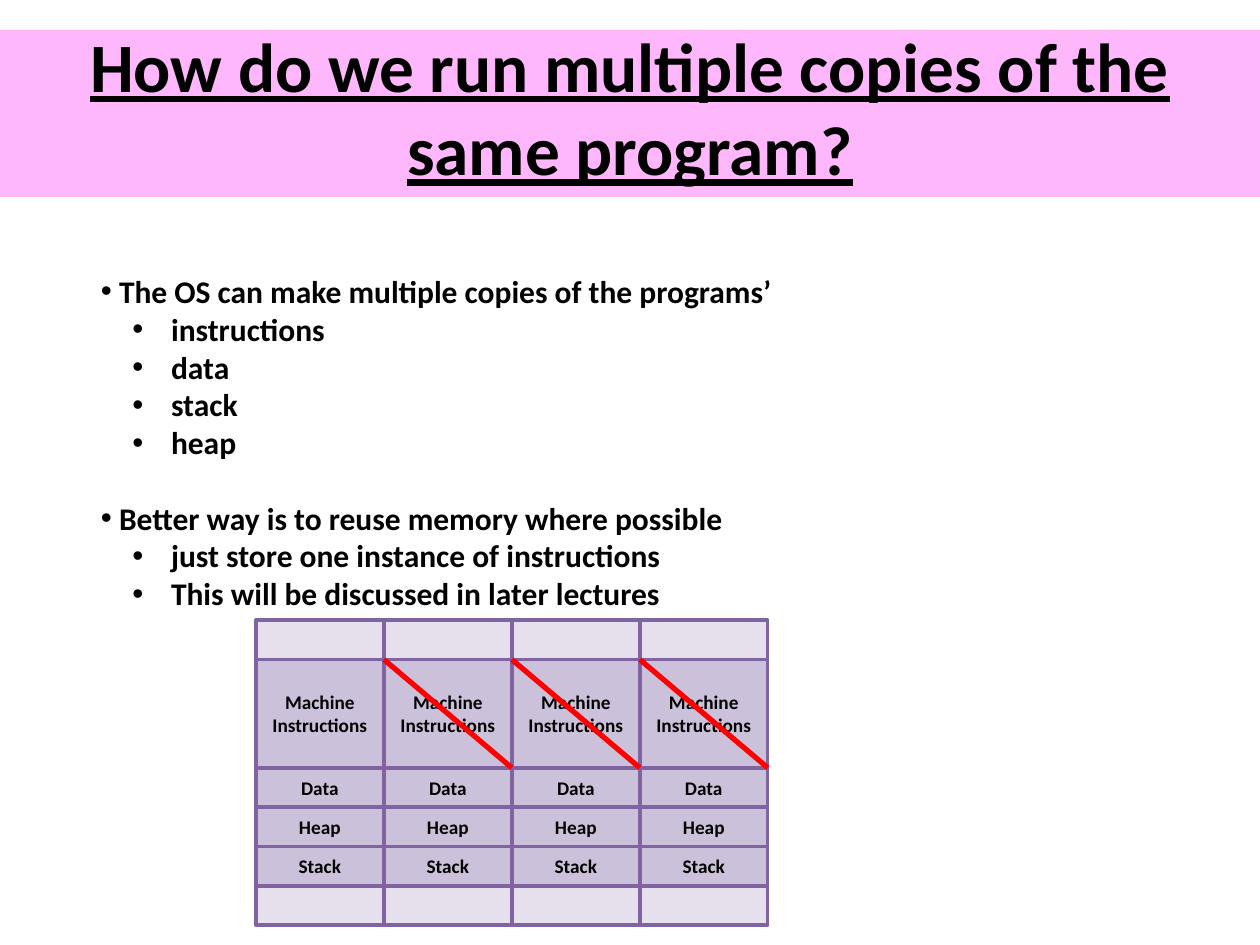
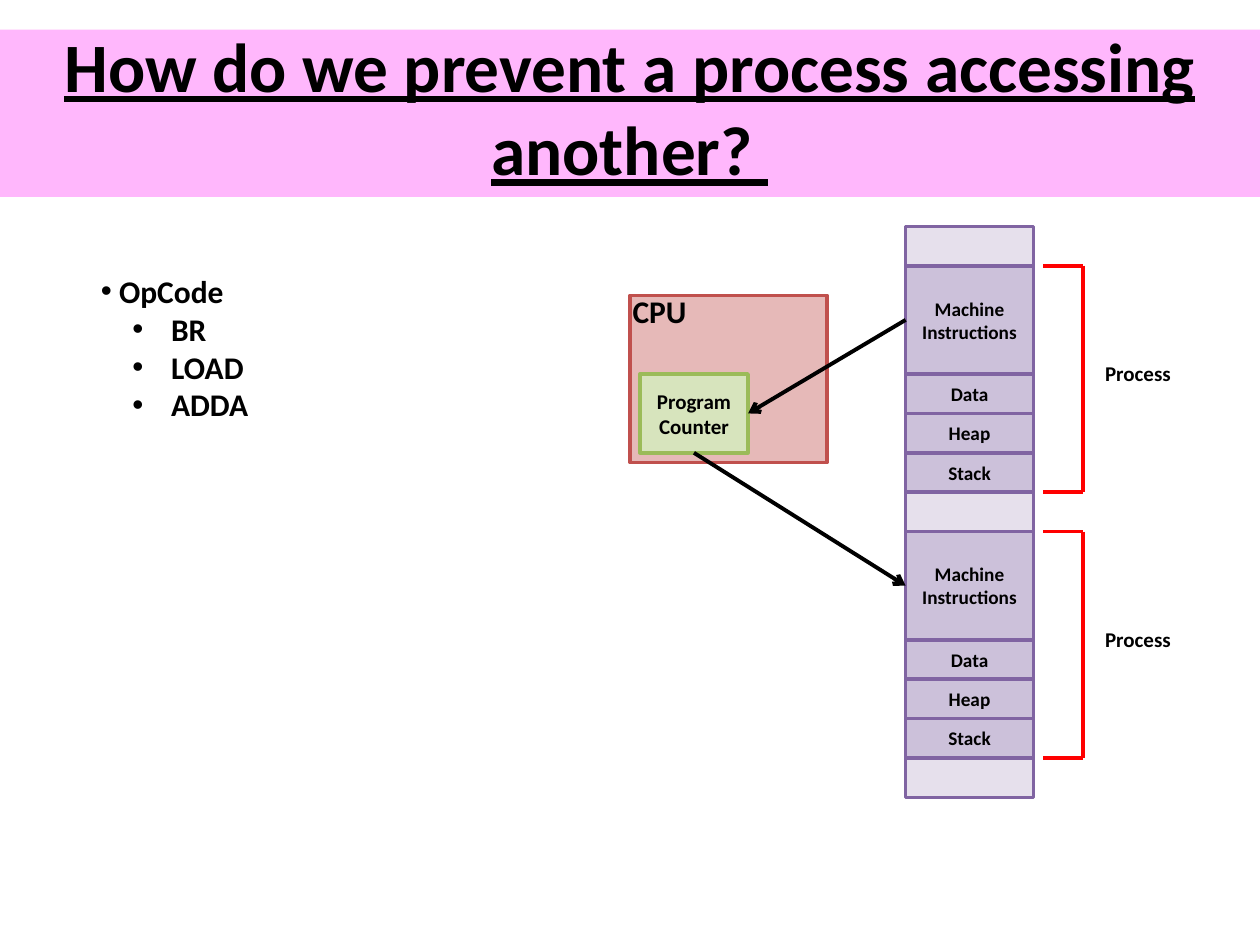
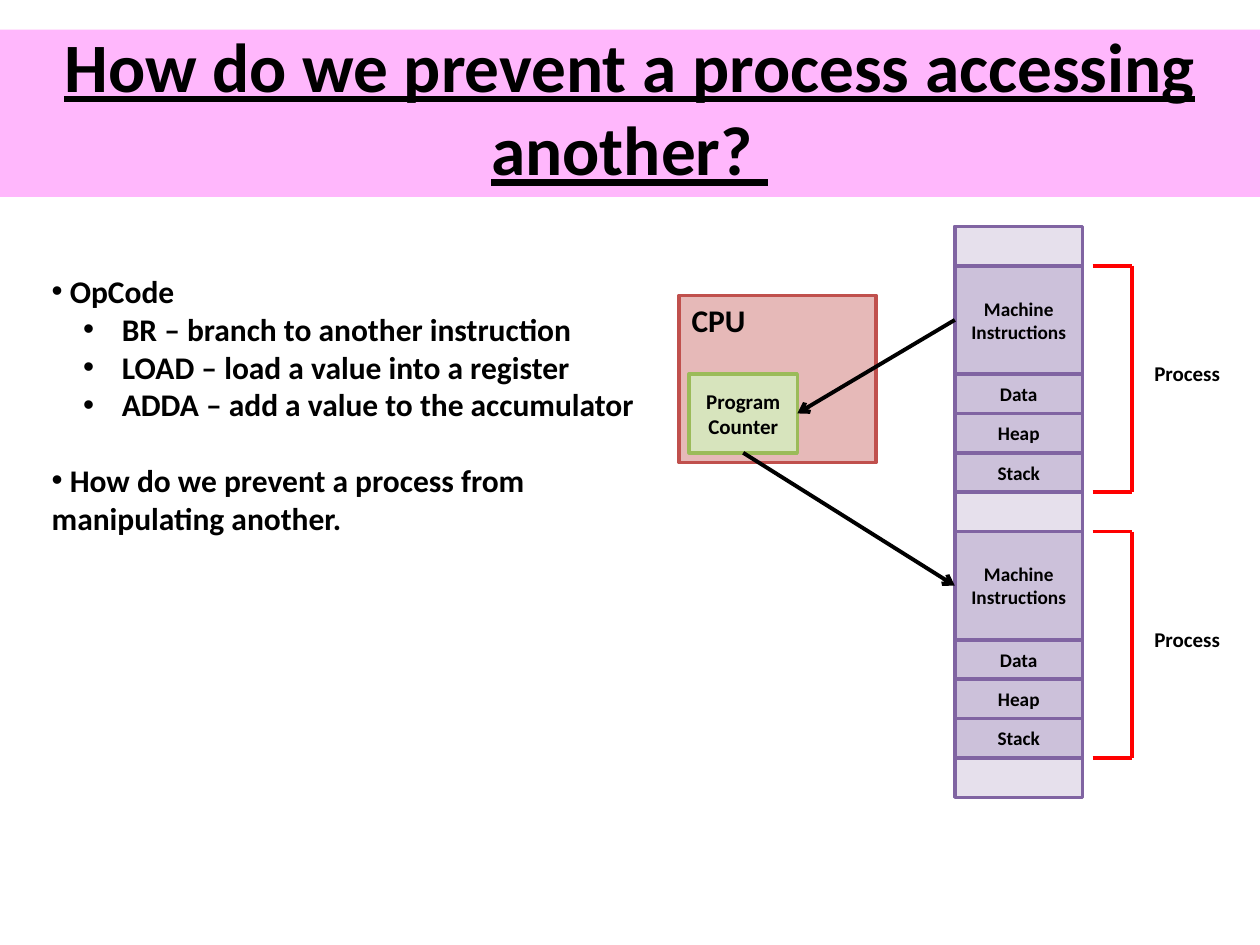
from lxml.etree import SubElement
from pptx import Presentation
from pptx.dml.color import RGBColor
from pptx.enum.shapes import MSO_CONNECTOR, MSO_SHAPE
from pptx.enum.text import MSO_ANCHOR, MSO_AUTO_SIZE, PP_ALIGN
from pptx.oxml.ns import qn
from pptx.util import Inches, Pt

FONT = "Calibri"
BLACK = RGBColor(0x00, 0x00, 0x00)
RED = RGBColor(0xFF, 0x00, 0x00)
PINK = RGBColor(0xFF, 0xB7, 0xFC)
PURPLE = RGBColor(0x80, 0x64, 0xA2)
LILAC = RGBColor(0xCC, 0xC1, 0xDA)
PALE_LILAC = RGBColor(0xE6, 0xE0, 0xEC)
BRICK = RGBColor(0xC0, 0x50, 0x4D)
ROSE = RGBColor(0xE6, 0xB9, 0xB8)
GREEN = RGBColor(0x9B, 0xBB, 0x59)
PALE_GREEN = RGBColor(0xD7, 0xE4, 0xBD)

# All positions are in grid units: the slide is 128 units wide.
GRID = 128
CELL_W, CELL_H, CODE_H = 13, 4, 11

FREE = ("", CELL_H)
PROCESS = [("Machine Instructions", CODE_H), ("Data", CELL_H),
           ("Heap", CELL_H), ("Stack", CELL_H)]
PROCESS_H = sum(h for _, h in PROCESS)

COPIES_TITLE = "How do we run multiple copies of the same program?"
COPIES_POINTS = [
    ("The OS can make multiple copies of the programs’",
     ["instructions", "data", "stack", "heap"]),
    ("Better way is to reuse memory where possible",
     ["just store one instance of instructions",
      "This will be discussed in later lectures"]),
]
COPIES = 4

ACCESS_TITLE = "How do we prevent a process accessing another? "
# Each slide: points, their box, diagram shift, CPU label offset from its box
ACCESS_SLIDES = [
    ([("OpCode", ["BR", "LOAD", "ADDA"])], (9, 27, 52, 28.4), 0, -1),
    ([("OpCode", ["BR – branch to another instruction",
                  "LOAD – load a value into a register",
                  "ADDA – add a value to the accumulator"]),
      ("How do we prevent a process from manipulating another.", [])],
     (4, 27, 64, 40), 5, 0),
]


def units(*values):
    """Turn grid units into lengths."""
    return [Inches(v * 10 / GRID) for v in values]


def write(p, text, size, bold=True, underline=None, align=None):
    """Add one formatted run to a paragraph."""
    p.alignment = align
    r = p.add_run()
    r.text = text
    r.font.name, r.font.size = FONT, Pt(size)
    r.font.bold, r.font.underline = bold, underline
    r.font.color.rgb = BLACK


def add_box(slide, at, fill, line=None, text="", size=11):
    """Add a flat rectangle, with centred text if any."""
    sp = slide.shapes.add_shape(MSO_SHAPE.RECTANGLE, *units(*at))
    sp.shadow.inherit = False
    sp.fill.solid()
    sp.fill.fore_color.rgb = fill
    if line is None:
        sp.line.fill.background()
    else:
        sp.line.color.rgb, sp.line.width = line, Pt(2)
    if text:
        sp.text_frame.word_wrap = True
        sp.text_frame.vertical_anchor = MSO_ANCHOR.MIDDLE
        write(sp.text_frame.paragraphs[0], text, size, align=PP_ALIGN.CENTER)
    return sp


def add_label(slide, at, text, size, wrap=True, align=None):
    """Add a one-line text box."""
    tf = slide.shapes.add_textbox(*units(*at)).text_frame
    tf.word_wrap = wrap
    write(tf.paragraphs[0], text, size, align=align)


def add_line(slide, start, end, color, width=2.25, arrow=False):
    """Add a straight line, with an arrowhead at its end if asked."""
    cx = slide.shapes.add_connector(MSO_CONNECTOR.STRAIGHT,
                                    *units(*start, *end))
    cx.line.color.rgb, cx.line.width = color, Pt(width)
    if arrow:
        SubElement(cx.line._get_or_add_ln(), qn("a:tailEnd"), type="arrow")
    SubElement(cx._element.spPr, qn("a:effectLst"))


def add_slide(prs, title):
    """Add a slide with the pink band and its title."""
    slide = prs.slides.add_slide(prs.slide_layouts[5])
    band = add_box(slide, (0, 3, GRID, 17), PINK)
    slide.shapes._spTree.insert(2, band._element)
    sp = slide.shapes.title
    sp.left, sp.top, sp.width, sp.height = units(3, 9, 122, 12)
    tf = sp.text_frame
    tf.auto_size, tf.word_wrap = MSO_AUTO_SIZE.NONE, True
    tf.vertical_anchor = MSO_ANCHOR.MIDDLE
    tf.margin_bottom = Inches(0.71)  # raises the two lines onto the band
    write(tf.paragraphs[0], title, 39.6, underline=True,
          align=PP_ALIGN.CENTER)
    return slide


def add_bullet(p, text, level):
    """Write a bulleted paragraph at the given level."""
    p.level = level
    pPr = p._p.get_or_add_pPr()
    pPr.set("marL", str(Inches(0.5 * level)))
    pPr.set("indent", str(Inches(-0.25 * level)))
    SubElement(pPr, qn("a:buFont"), typeface="Arial")
    SubElement(pPr, qn("a:buChar"), char="•")
    write(p, " " + text, 18)


def add_points(slide, at, points):
    """Add the two-level list, with a gap between its groups."""
    tf = slide.shapes.add_textbox(*units(*at)).text_frame
    tf.word_wrap = True
    for i, (head, subs) in enumerate(points):
        p = tf.add_paragraph() if i else tf.paragraphs[0]
        if i:
            p.space_before = Pt(21.5)
        add_bullet(p, head, 0)
        for sub in subs:
            add_bullet(tf.add_paragraph(), sub, 1)


def add_memory(slide, x, y, cells):
    """Stack memory cells downwards; cells without text are free."""
    for text, height in cells:
        add_box(slide, (x, y, CELL_W, height),
                LILAC if text else PALE_LILAC, PURPLE, text)
        y += height


def add_bracket(slide, x, top):
    """Mark one process with a red bracket and a label."""
    bottom, right = top + PROCESS_H, x + 4
    for y in (top, bottom):
        add_line(slide, (x, y), (right, y), RED)
    add_line(slide, (right, top), (right, bottom), RED)
    add_label(slide, (right + 1, top + 9, 9.3, 3.9), "Process", 12)


def build_copies(prs):
    """Memory columns whose repeated instructions are struck out."""
    slide = add_slide(prs, COPIES_TITLE)
    add_points(slide, (9, 27, 119, 48), COPIES_POINTS)
    left, top = 26, 63
    columns = [left + i * CELL_W for i in range(COPIES)]
    for x in columns:
        add_memory(slide, x, top, [FREE, *PROCESS, FREE])
    code_top = top + CELL_H
    for x in columns[1:]:
        add_line(slide, (x, code_top), (x + CELL_W, code_top + CODE_H),
                 RED, 3)


def build_access(prs, points, points_at, shift, label_offset):
    """CPU beside the memory of two processes."""
    slide = add_slide(prs, ACCESS_TITLE)
    add_points(slide, points_at, points)

    memory_x, memory_y = 92 + shift, 23
    add_memory(slide, memory_x, memory_y,
               [FREE, *PROCESS, FREE, *PROCESS, FREE])
    first = memory_y + CELL_H
    second = first + PROCESS_H + CELL_H
    for top in (first, second):
        add_bracket(slide, memory_x + CELL_W + 1, top)

    cpu_x, cpu_y = 64 + shift, 30
    add_box(slide, (cpu_x, cpu_y, 20, 17), ROSE, BRICK)
    add_label(slide, (cpu_x + label_offset, cpu_y + label_offset, 8, 5),
              "CPU", 18, wrap=False, align=PP_ALIGN.CENTER)
    x, y, w, h = cpu_x + 1, cpu_y + 8, 11, 8
    add_box(slide, (x, y, w, h), PALE_GREEN, GREEN, "Program Counter", 12)

    add_line(slide, (memory_x, first + CODE_H / 2), (x + w, y + h / 2),
             BLACK, arrow=True)
    add_line(slide, (x + w / 2, y + h), (memory_x, second + CODE_H / 2),
             BLACK, arrow=True)


prs = Presentation()
prs.slide_width, prs.slide_height = Inches(10), Inches(7.5)
build_copies(prs)
for content in ACCESS_SLIDES:
    build_access(prs, *content)
prs.save("out.pptx")
